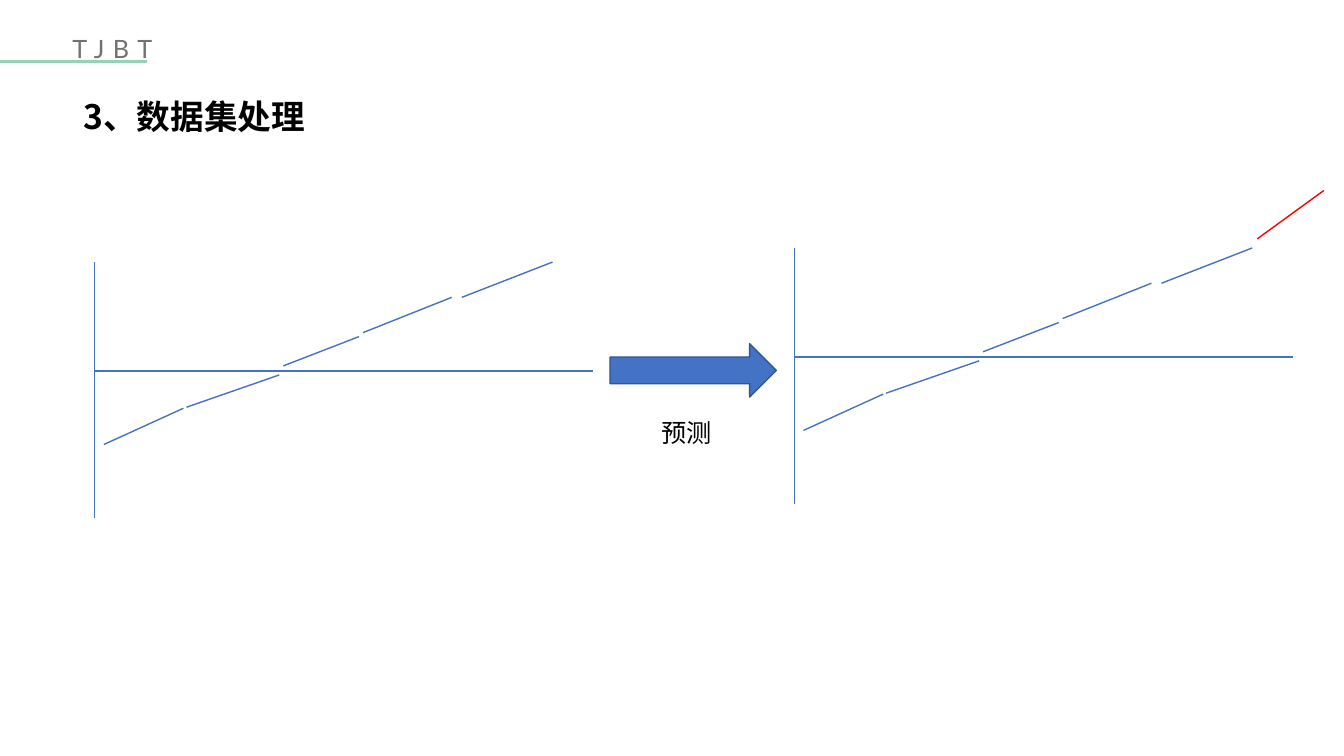
from pptx import Presentation, util as u
from pptx.dml.color import RGBColor
from pptx.enum import shapes, text
from pptx.oxml.ns import qn
from lxml import etree

WIDE, HIGH = 13.33, 7.5
THEME = {
    "blue": "4472C4", "edge": "2F5597", "red": "FF0000", "green": "94D2B9",
    "grey": "767171", "black": "000000",
    "latin": "Lato", "han": "Noto Sans CJK SC",
    "body": 18, "head": 24, "thin": 1, "thick": 1.5,
}

# Plot parts as (x1, y1, x2, y2), measured from the top of the vertical axis
AXES = [(0, 0, 0, 2.54), (0, 1.08, 4.94, 1.08)]
TREND = [
    (0.09, 1.81, 0.88, 1.45),
    (0.91, 1.44, 1.83, 1.12),
    (1.87, 1.03, 2.62, 0.74),
    (2.66, 0.7, 3.54, 0.35),
    (3.64, 0.35, 4.54, 0),
]
FORECAST = (4.59, -0.09, 5.25, -0.57)
BEFORE, AFTER = (0.94, 2.6), (7.88, 2.46)

deck = Presentation()
deck.slide_width, deck.slide_height = u.Inches(WIDE), u.Inches(HIGH)
slide = deck.slides.add_slide(deck.slide_layouts[6])


def tint(name):
    return RGBColor.from_string(THEME[name])


def rule(ends, start=(0, 0), color="blue", width="thin"):
    """Draw a straight line whose ends are offsets from start."""
    x, y = start
    x1, y1, x2, y2 = ends
    line = slide.shapes.add_connector(
        shapes.MSO_CONNECTOR.STRAIGHT,
        u.Inches(x + x1), u.Inches(y + y1), u.Inches(x + x2), u.Inches(y + y2))
    line.line.color.rgb = tint(color)
    line.line.width = u.Pt(THEME[width])
    etree.SubElement(line._element.spPr, qn("a:effectLst"))


def write(words, box, size="body", face="han", color="black",
          bold=False, track=0, lead=1.0):
    """Add a text box; track is letter spacing in points."""
    frame = slide.shapes.add_textbox(*map(u.Inches, box)).text_frame
    frame.word_wrap = True
    frame.auto_size = text.MSO_AUTO_SIZE.SHAPE_TO_FIT_TEXT
    para = frame.paragraphs[0]
    para.line_spacing = lead
    run = para.add_run()
    run.text = words
    font = run.font
    font.name, font.size, font.bold = THEME[face], u.Pt(THEME[size]), bold
    font.color.rgb = tint(color)
    props = run._r.get_or_add_rPr()
    etree.SubElement(props, qn("a:ea")).set("typeface", THEME[face])
    if track:
        props.set("spc", str(track * 100))


def plot(start):
    for ends in AXES + TREND:
        rule(ends, start)


rule((0, 0.61, 1.46, 0.61), color="green", width="thick")
write("TJBT", (0.62, 0.28, 2.24, 0.4), face="latin", color="grey", track=6)
write("3、数据集处理", (0.73, 0.95, 11.72, 1.51), size="head", bold=True, lead=0.9)

plot(BEFORE)
arrow = slide.shapes.add_shape(
    shapes.MSO_SHAPE.RIGHT_ARROW, *map(u.Inches, (6.05, 3.41, 1.65, 0.53)))
arrow.shadow.inherit = False
arrow.fill.solid()
arrow.fill.fore_color.rgb = tint("blue")
arrow.line.color.rgb = tint("edge")
arrow.line.width = u.Pt(THEME["thin"])
write("预测", (6.46, 4.12, 4.44, 0.4), lead=0.9)

plot(AFTER)
rule(FORECAST, AFTER, color="red")

deck.save("out.pptx")
